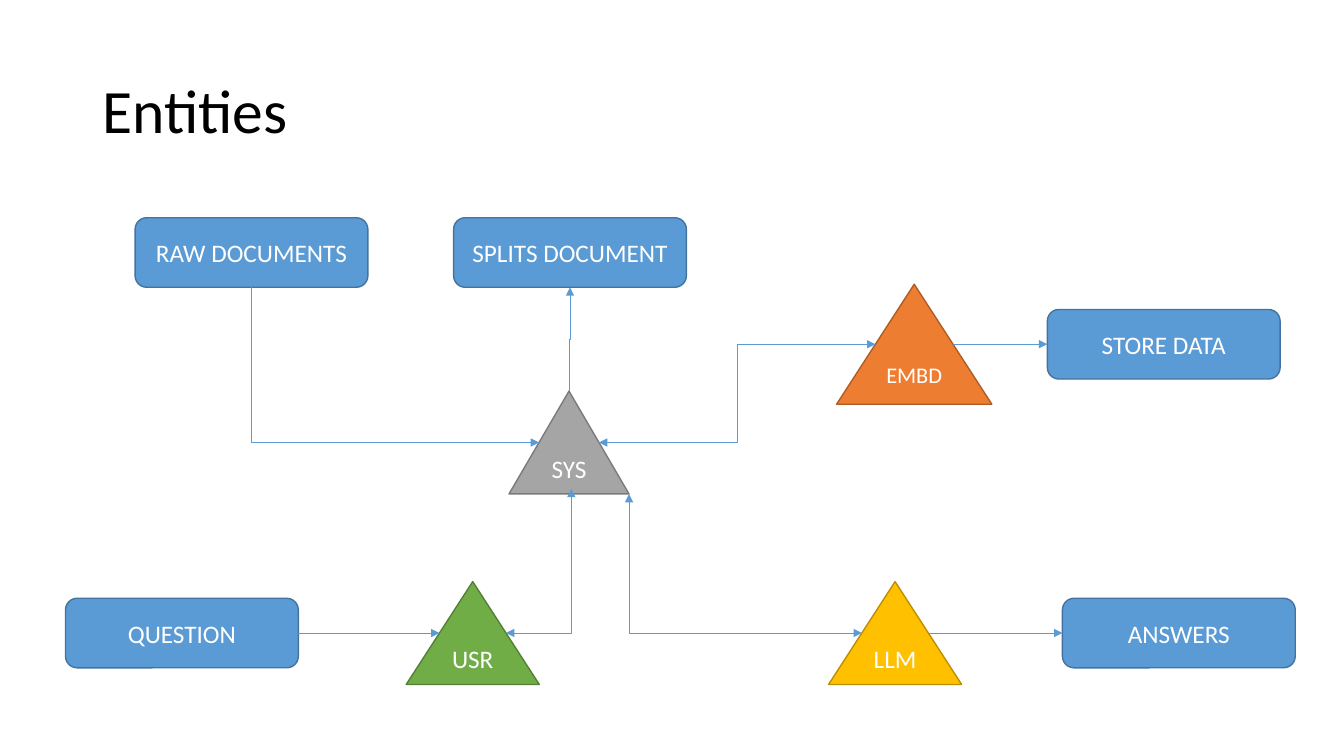
from dataclasses import dataclass

from lxml import etree
from pptx import Presentation
from pptx import util as u
from pptx.dml import color
from pptx.enum import shapes, text
from pptx.oxml import ns


@dataclass(frozen=True)
class Theme:
    font: str = "Calibri"
    title: str = "000000"
    label: str = "FFFFFF"
    blue: str = "5B9BD5"
    blue_edge: str = "43739E"
    gray: str = "A5A5A5"
    gray_edge: str = "7A7A7A"
    orange: str = "ED7D31"
    orange_edge: str = "AF5C24"
    green: str = "70AD47"
    green_edge: str = "538035"
    gold: str = "FFC000"
    gold_edge: str = "BD8E00"
    title_size: float = 44
    label_size: float = 18
    small_size: float = 16
    edge_width: float = 1
    arrow_width: float = 0.5


THEME = Theme()
COLUMNS, ROWS = 160, 90
SLIDE_WIDTH, SLIDE_HEIGHT = u.Emu(12192000), u.Emu(6858000)


@dataclass(frozen=True)
class Entity:
    label: str
    column: float
    row: float
    columns: float = 27.72
    rows: float = 8.28
    kind: shapes.MSO_SHAPE = shapes.MSO_SHAPE.ROUNDED_RECTANGLE
    fill: str = THEME.blue
    edge: str = THEME.blue_edge
    size: float = THEME.label_size

    def anchor(self, across: float, down: float) -> tuple[float, float]:
        return self.column + across * self.columns, self.row + down * self.rows


@dataclass(frozen=True)
class Arrow:
    start: tuple[float, float]
    end: tuple[float, float]
    preset: str = "line"
    vertical_first: bool = False
    both_ends: bool = False


TRIANGLE = shapes.MSO_SHAPE.ISOSCELES_TRIANGLE
RAW = Entity("RAW DOCUMENTS", 16.08, 25.92)
SPLITS = Entity("SPLITS DOCUMENT", 54, 25.92)
STORE = Entity("STORE DATA", 124.68, 36.84)
QUESTION = Entity("QUESTION", 7.8, 71.22)
ANSWERS = Entity("ANSWERS", 126.48, 71.22)
SYS = Entity("SYS", 60.6, 46.56, 14.28, 12.24, TRIANGLE, THEME.gray, THEME.gray_edge)
EMBD = Entity("EMBD", 99.6, 33.84, 18.48, 14.28, TRIANGLE,
              THEME.orange, THEME.orange_edge, THEME.small_size)
USR = Entity("USR", 48.36, 69.24, 15.84, 12.24, TRIANGLE, THEME.green, THEME.green_edge)
LLM = Entity("LLM", 98.64, 69.24, 15.84, 12.24, TRIANGLE, THEME.gold, THEME.gold_edge)
ENTITIES = [RAW, SYS, SPLITS, EMBD, STORE, USR, QUESTION, LLM, ANSWERS]

TOP, BOTTOM, LEFT, RIGHT = (0.5, 0), (0.5, 1), (0, 0.5), (1, 0.5)
LEFT_SLOPE, RIGHT_SLOPE = (0.25, 0.5), (0.75, 0.5)
CORNER, BASE = (1, 1), (0.52, 0.95)
ARROWS = [
    Arrow(RAW.anchor(*BOTTOM), SYS.anchor(*LEFT_SLOPE), "bentConnector2", True),
    Arrow(SYS.anchor(*TOP), SPLITS.anchor(*BOTTOM), "bentConnector3", True),
    Arrow(EMBD.anchor(*LEFT_SLOPE), SYS.anchor(*RIGHT_SLOPE), "bentConnector3", both_ends=True),
    Arrow(EMBD.anchor(*RIGHT_SLOPE), STORE.anchor(*LEFT)),
    Arrow(QUESTION.anchor(*RIGHT), USR.anchor(*LEFT_SLOPE)),
    Arrow(USR.anchor(*RIGHT_SLOPE), SYS.anchor(*BASE), "bentConnector2", both_ends=True),
    Arrow(SYS.anchor(*CORNER), LLM.anchor(*LEFT_SLOPE), "bentConnector2", True, True),
    Arrow(LLM.anchor(*RIGHT_SLOPE), ANSWERS.anchor(*LEFT)),
]


def across(columns: float) -> u.Emu:
    return u.Emu(round(columns * SLIDE_WIDTH / COLUMNS))


def down(rows: float) -> u.Emu:
    return u.Emu(round(rows * SLIDE_HEIGHT / ROWS))


def apply(target, values: dict) -> None:
    for name, value in values.items():
        setattr(target, name, value)


def write(shape, words: str, size: float, ink: str, paragraph_format: dict) -> None:
    apply(shape.text_frame, {"word_wrap": True, "vertical_anchor": text.MSO_ANCHOR.MIDDLE})
    paragraph = shape.text_frame.paragraphs[0]
    apply(paragraph, paragraph_format)
    run = paragraph.add_run()
    run.text = words
    apply(run.font, {"name": THEME.font, "size": u.Pt(size)})
    run.font.color.rgb = color.RGBColor.from_string(ink)


def draw_line(line, ink: str, width: float) -> None:
    line.color.rgb = color.RGBColor.from_string(ink)
    line.width = u.Pt(width)


def draw_title(slide) -> None:
    shape = slide.shapes.add_textbox(across(11), down(4.8), across(138), down(17.4))
    write(shape, "Entities", THEME.title_size, THEME.title, {"line_spacing": 0.9})


def draw_entity(slide, entity: Entity) -> None:
    shape = slide.shapes.add_shape(
        entity.kind, across(entity.column), down(entity.row),
        across(entity.columns), down(entity.rows))
    shape.shadow.inherit = False
    shape.fill.solid()
    shape.fill.fore_color.rgb = color.RGBColor.from_string(entity.fill)
    draw_line(shape.line, entity.edge, THEME.edge_width)
    write(shape, entity.label, entity.size, THEME.label, {"alignment": text.PP_ALIGN.CENTER})


def draw_arrow(slide, arrow: Arrow) -> None:
    x1, y1 = across(arrow.start[0]), down(arrow.start[1])
    x2, y2 = across(arrow.end[0]), down(arrow.end[1])
    if arrow.vertical_first:
        middle_x, middle_y = (x1 + x2) // 2, (y1 + y2) // 2
        half_x, half_y = (x2 - x1) // 2, (y2 - y1) // 2
        x1, y1 = middle_x + half_y, middle_y - half_x
        x2, y2 = middle_x - half_y, middle_y + half_x
    straight = arrow.preset == "line"
    kind = shapes.MSO_CONNECTOR.STRAIGHT if straight else shapes.MSO_CONNECTOR.ELBOW
    connector = slide.shapes.add_connector(kind, x1, y1, x2, y2)
    draw_line(connector.line, THEME.blue, THEME.arrow_width)
    properties = connector._element.spPr
    properties.find(ns.qn("a:prstGeom")).set("prst", arrow.preset)
    if arrow.vertical_first:
        properties.find(ns.qn("a:xfrm")).set("rot", str(270 * 60000))
    outline = properties.find(ns.qn("a:ln"))
    for end in ["headEnd", "tailEnd"] if arrow.both_ends else ["tailEnd"]:
        etree.SubElement(outline, ns.qn(f"a:{end}")).set("type", "triangle")
    etree.SubElement(properties, ns.qn("a:effectLst"))


def main() -> None:
    presentation = Presentation()
    apply(presentation, {"slide_width": SLIDE_WIDTH, "slide_height": SLIDE_HEIGHT})
    slide = presentation.slides.add_slide(presentation.slide_layouts[6])
    draw_title(slide)
    for entity in ENTITIES:
        draw_entity(slide, entity)
    for arrow in ARROWS:
        draw_arrow(slide, arrow)
    presentation.save("out.pptx")


if __name__ == "__main__":
    main()
